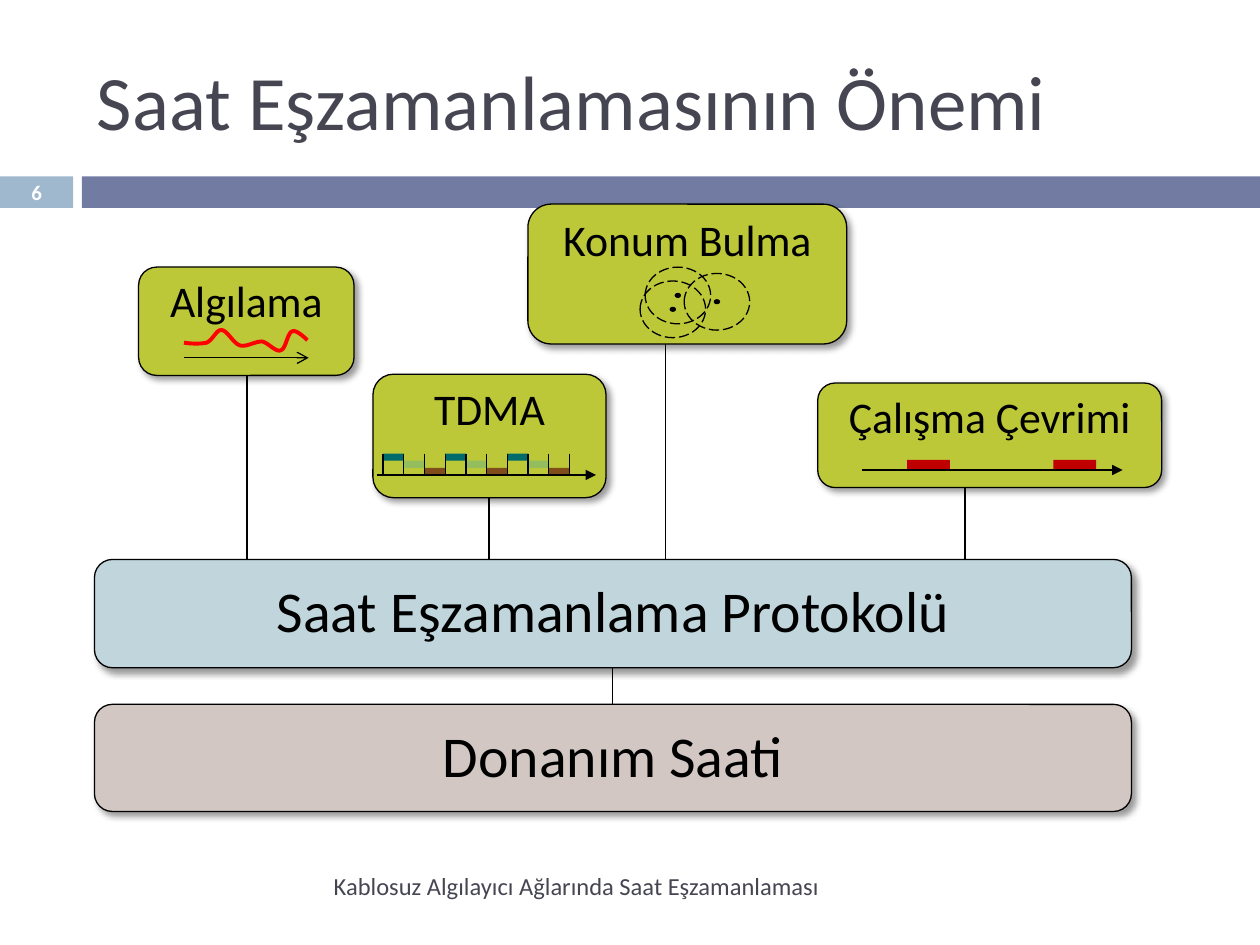
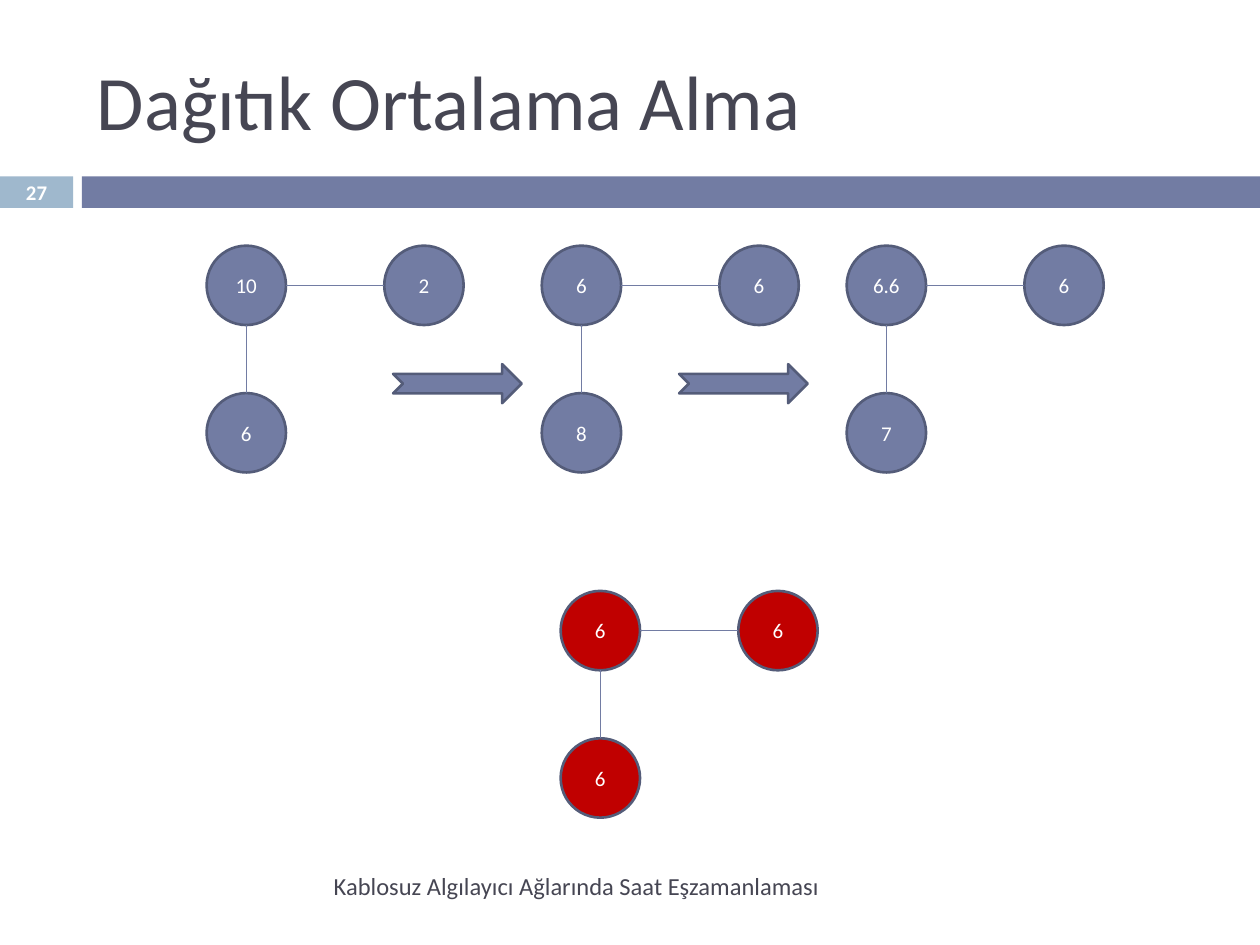
from typing import Any, NamedTuple, Optional

import lxml.etree
import pptx
import pptx.dml.color
import pptx.enum.dml
import pptx.enum.shapes
import pptx.enum.text
import pptx.oxml.ns
import pptx.util

Inches = pptx.util.Inches
Pt = pptx.util.Pt
Shapes = pptx.enum.shapes.MSO_SHAPE
Align = pptx.enum.text.PP_ALIGN
Anchor = pptx.enum.text.MSO_ANCHOR

COLORS = {
    "text": "464653", "band": "727CA3", "number": "9FB8CD", "outline": "545C79",
    "black": "000000", "white": "FFFFFF", "red": "C00000", "signal": "FF0000",
    "application": "BCC838", "protocol": "C0D6DC", "hardware": "D2C7C3",
    "slot_high": "006B6B", "slot_middle": "94BD5E", "slot_low": "804C19",
}
FONT = "Calibri"
FOOTER = "Kablosuz Algılayıcı Ağlarında Saat Eşzamanlaması"


class Area(NamedTuple):
    left: float
    top: float
    width: float
    height: float


class Point(NamedTuple):
    x: float
    y: float


class TextStyle(NamedTuple):
    size: float
    color: str
    align: Any = Align.CENTER
    anchor: Any = Anchor.MIDDLE
    bold: bool = False
    spacing: float = 1.0
    margins: tuple = (0.1, 0.05)


class Box(NamedTuple):
    label: str
    area: Area
    fill: str
    style: TextStyle


class Network(NamedTuple):
    """Three nodes: a corner, its right neighbour and its lower neighbour."""
    left: float
    top: float
    values: tuple
    fill: str


TITLE = TextStyle(44, "text", align=Align.LEFT)
FOOTER_STYLE = TextStyle(14, "text", align=Align.RIGHT)
NUMBER = TextStyle(11.9, "white", bold=True)
NODE = TextStyle(12, "white", margins=(0, 0))
APPLICATION = TextStyle(25, "black", anchor=Anchor.TOP, spacing=0.93)
LAYER = TextStyle(33, "black", spacing=0.93)

SENSING = Box("Algılama", Area(1.1, 2.12, 1.71, 0.86), "application", APPLICATION)
TDMA = Box("TDMA", Area(2.96, 2.97, 1.85, 0.98), "application", APPLICATION)
LOCATION = Box("Konum Bulma", Area(4.19, 1.62, 2.53, 1.11), "application", APPLICATION)
DUTY_CYCLE = Box("Çalışma Çevrimi", Area(6.49, 3.04, 2.73, 0.83), "application", APPLICATION)
PROTOCOL = Box("Saat Eşzamanlama Protokolü", Area(0.75, 4.44, 8.23, 0.86), "protocol", LAYER)
HARDWARE = Box("Donanım Saati", Area(0.75, 5.59, 8.23, 0.85), "hardware", LAYER)

NODE_SIZE = 0.63
NODE_STEP = Point(1.41, 1.17)
NETWORKS = [
    Network(1.64, 1.95, ("10", "2", "6"), "band"),
    Network(4.3, 1.95, ("6", "6", "8"), "band"),
    Network(6.72, 1.95, ("6.6", "6", "7"), "band"),
    Network(4.45, 4.69, ("6", "6", "6"), "red"),
]


def rgb(name: str) -> pptx.dml.color.RGBColor:
    return pptx.dml.color.RGBColor.from_string(COLORS[name])


def apply(target: Any, values: dict) -> None:
    for name, value in values.items():
        setattr(target, name, value)


def write(shape: Any, text: str, style: TextStyle) -> None:
    frame = shape.text_frame
    across, down = (Inches(margin) for margin in style.margins)
    apply(frame, {
        "word_wrap": True, "vertical_anchor": style.anchor,
        "margin_left": across, "margin_right": across,
        "margin_top": down, "margin_bottom": down,
    })
    paragraph = frame.paragraphs[0]
    paragraph.text = text
    apply(paragraph, {"alignment": style.align, "line_spacing": style.spacing})
    apply(paragraph.font, {"name": FONT, "size": Pt(style.size), "bold": style.bold})
    paragraph.font.color.rgb = rgb(style.color)


def add_text(slide: Any, text: str, area: Area, style: TextStyle) -> None:
    write(slide.shapes.add_textbox(*map(Inches, area)), text, style)


def paint(shape: Any, fill: Optional[str], line: Optional[str], weight: float) -> None:
    shape.shadow.inherit = False
    if fill:
        shape.fill.solid()
        shape.fill.fore_color.rgb = rgb(fill)
    else:
        shape.fill.background()
    if line:
        shape.line.color.rgb = rgb(line)
        shape.line.width = Pt(weight)
    else:
        shape.line.fill.background()


def add_shape(slide: Any, kind: Any, area: Area, fill: Optional[str] = None,
              line: Optional[str] = None, weight: float = 0.75) -> Any:
    shape = slide.shapes.add_shape(kind, *map(Inches, area))
    paint(shape, fill, line, weight)
    return shape


def add_line(slide: Any, start: Point, end: Point, color: str = "black",
             weight: float = 0.75, arrow: Optional[str] = None) -> None:
    connector = slide.shapes.add_connector(
        pptx.enum.shapes.MSO_CONNECTOR.STRAIGHT, *map(Inches, (*start, *end)))
    connector.line.color.rgb = rgb(color)
    connector.line.width = Pt(weight)
    if arrow:
        tail = lxml.etree.SubElement(connector.line._get_or_add_ln(), pptx.oxml.ns.qn("a:tailEnd"))
        tail.set("type", arrow)
    lxml.etree.SubElement(connector._element.spPr, pptx.oxml.ns.qn("a:effectLst"))


def add_shadow(shape: Any) -> None:
    qn = pptx.oxml.ns.qn
    effects = shape._element.spPr.find(qn("a:effectLst"))
    shadow = lxml.etree.SubElement(effects, qn("a:outerShdw"), {
        "blurRad": str(Pt(4)), "dist": str(Pt(3)), "dir": str(45 * 60000),
        "algn": "tl", "rotWithShape": "0"})
    color = lxml.etree.SubElement(shadow, qn("a:srgbClr"), val=COLORS["black"])
    lxml.etree.SubElement(color, qn("a:alpha"), val="40000")


def add_box(slide: Any, box: Box) -> None:
    shape = add_shape(slide, Shapes.ROUNDED_RECTANGLE, box.area, box.fill, "black")
    add_shadow(shape)
    write(shape, box.label, box.style)


def add_base_slide(presentation: Any, title: str, number: int) -> Any:
    slide = presentation.slides.add_slide(presentation.slide_layouts[6])
    add_shape(slide, Shapes.RECTANGLE, Area(0, 1.4, 0.58, 0.25), "number")
    add_shape(slide, Shapes.RECTANGLE, Area(0.65, 1.4, 9.35, 0.25), "band")
    add_text(slide, title, Area(0.67, 0.25, 8.92, 1.08), TITLE)
    add_text(slide, FOOTER, Area(0.67, 6.83, 5.93, 0.4), FOOTER_STYLE)
    add_text(slide, str(number), Area(0, 1.39, 0.58, 0.27), NUMBER)
    return slide


def bezier(points: list, steps: int = 10) -> list:
    """Sample a chain of cubic curves that share their end points."""
    samples = [points[0]]
    for first in range(0, len(points) - 1, 3):
        a, b, c, d = points[first:first + 4]
        for step in range(1, steps + 1):
            t = step / steps
            u = 1 - t
            weights = (u ** 3, 3 * u * u * t, 3 * u * t * t, t ** 3)
            samples.append(tuple(
                sum(w * p[axis] for w, p in zip(weights, (a, b, c, d))) for axis in (0, 1)))
    return samples


def draw_sensing(slide: Any) -> None:
    add_box(slide, SENSING)
    add_line(slide, Point(1.46, 2.84), Point(2.45, 2.84), arrow="arrow")
    curve = bezier([
        (1.46, 2.72), (1.53, 2.73), (1.59, 2.73), (1.64, 2.72),
        (1.69, 2.7), (1.72, 2.61), (1.76, 2.62), (1.8, 2.62), (1.85, 2.72), (1.9, 2.74),
        (1.95, 2.76), (2.02, 2.71), (2.08, 2.71), (2.13, 2.72), (2.19, 2.8), (2.23, 2.78),
        (2.27, 2.77), (2.28, 2.64), (2.32, 2.63), (2.35, 2.61), (2.44, 2.7), (2.44, 2.7),
    ])
    start, *rest = [(Inches(x), Inches(y)) for x, y in curve]
    builder = slide.shapes.build_freeform(*start)
    builder.add_line_segments(rest, close=False)
    paint(builder.convert_to_shape(), None, "signal", 2.25)


def draw_tdma(slide: Any) -> None:
    add_box(slide, TDMA)
    left, right, top, axis, slots = 3.04, 4.52, 3.6, 3.77, 9
    pitch = (right - left) / slots
    colors = ("slot_high", "slot_middle", "slot_low")
    height = (axis - top) / len(colors)
    for slot in range(slots):
        level = slot % len(colors)
        area = Area(left + slot * pitch, top + level * height, pitch, height)
        add_shape(slide, Shapes.RECTANGLE, area, colors[level])
    add_line(slide, Point(2.99, axis), Point(4.73, axis), arrow="triangle")
    for tick in range(slots + 1):
        x = left + tick * pitch
        add_line(slide, Point(x, top), Point(x, axis))


def draw_location(slide: Any) -> None:
    add_box(slide, LOCATION)
    for left, top in ((5.43, 2.17), (5.12, 2.12), (5.08, 2.23)):
        circle = add_shape(slide, Shapes.OVAL, Area(left, top, 0.52, 0.45), line="black")
        circle.line.dash_style = pptx.enum.dml.MSO_LINE.LONG_DASH
        add_shape(slide, Shapes.OVAL, Area(left + 0.24, top + 0.21, 0.04, 0.03), "black", "black")


def draw_duty_cycle(slide: Any) -> None:
    add_box(slide, DUTY_CYCLE)
    for left in (7.2, 8.36):
        add_shape(slide, Shapes.RECTANGLE, Area(left, 3.65, 0.34, 0.08), "red")
    add_line(slide, Point(6.84, 3.73), Point(8.91, 3.73), arrow="triangle")


def draw_importance(presentation: Any) -> None:
    slide = add_base_slide(presentation, "Saat Eşzamanlamasının Önemi", 6)
    links = ((1.96, SENSING, PROTOCOL), (3.88, TDMA, PROTOCOL), (5.28, LOCATION, PROTOCOL),
             (7.66, DUTY_CYCLE, PROTOCOL), (4.86, PROTOCOL, HARDWARE))
    for x, upper, lower in links:
        bottom = upper.area.top + upper.area.height
        add_line(slide, Point(x, bottom), Point(x, lower.area.top))
    draw_duty_cycle(slide)
    draw_tdma(slide)
    draw_sensing(slide)
    draw_location(slide)
    add_box(slide, HARDWARE)
    add_box(slide, PROTOCOL)


def draw_network(slide: Any, network: Network) -> None:
    left, top = network.left, network.top
    right, bottom = left + NODE_STEP.x, top + NODE_STEP.y
    corners = ((left, top), (right, top), (left, bottom))
    for value, corner in zip(network.values, corners):
        area = Area(*corner, NODE_SIZE, NODE_SIZE)
        write(add_shape(slide, Shapes.OVAL, area, network.fill, "outline", 1.5), value, NODE)
    x, y = left + NODE_SIZE / 2, top + NODE_SIZE / 2
    add_line(slide, Point(left + NODE_SIZE, y), Point(right, y), "band", 0.79)
    add_line(slide, Point(x, top + NODE_SIZE), Point(x, bottom), "band", 0.79)


def draw_averaging(presentation: Any) -> None:
    slide = add_base_slide(presentation, "Dağıtık Ortalama Alma", 27)
    for network in NETWORKS:
        draw_network(slide, network)
    for left in (3.12, 5.39):
        add_shape(slide, Shapes.NOTCHED_RIGHT_ARROW, Area(left, 2.89, 1.02, 0.31),
                  "band", "outline", 1.5)


def main() -> None:
    presentation = pptx.Presentation()
    apply(presentation, {"slide_width": Inches(10), "slide_height": Inches(7.5)})
    draw_importance(presentation)
    draw_averaging(presentation)
    presentation.save("out.pptx")


if __name__ == "__main__":
    main()
